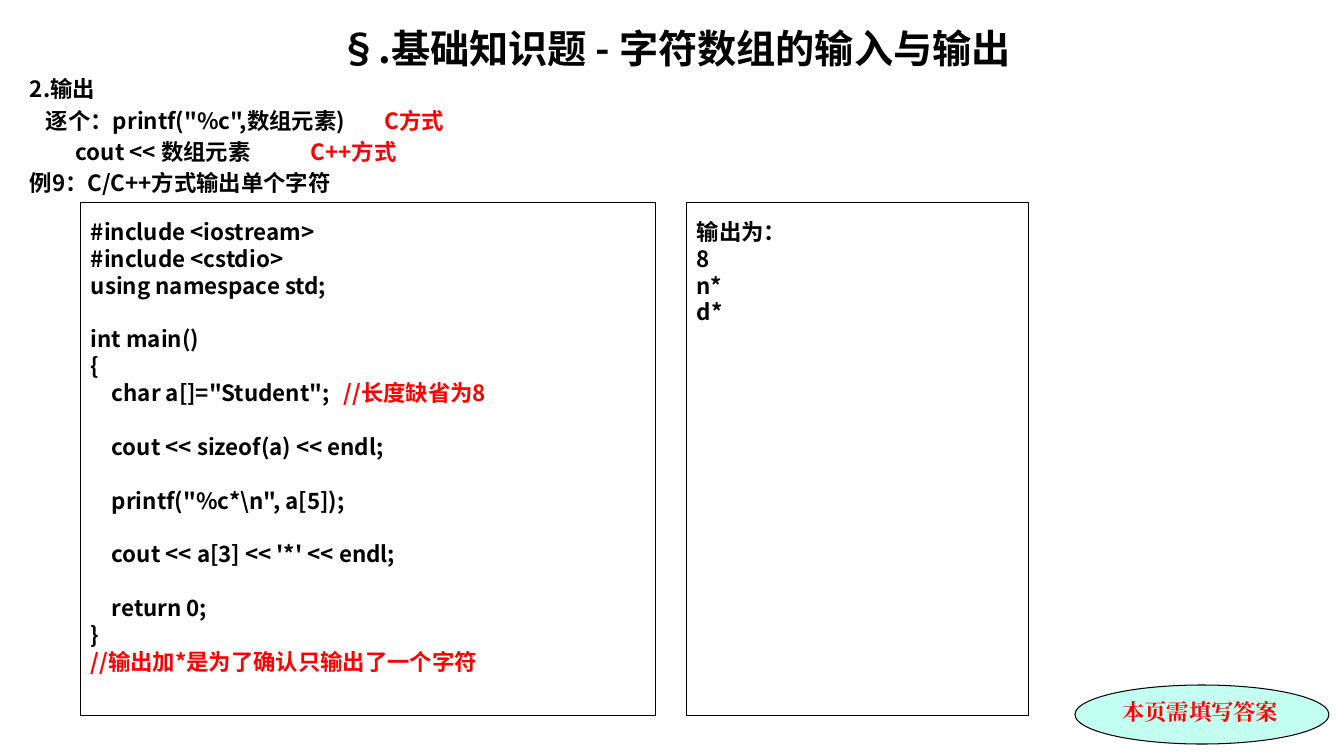
import pptx
import pptx.util
import pptx.dml.color
import pptx.enum.shapes
import pptx.enum.text
import pptx.oxml.ns
from lxml import etree

PX = 9071  # EMU per px, at 100.8 px to the inch
BLACK = pptx.dml.color.RGBColor(0x00, 0x00, 0x00)
RED = pptx.dml.color.RGBColor(0xFF, 0x00, 0x00)
MINT = pptx.dml.color.RGBColor(0xC2, 0xFF, 0xF0)
SANS = "Noto Sans CJK SC"
SERIF = "Times New Roman"
SIZE = 16
LEADING = 1.2
qn = pptx.oxml.ns.qn


def add_line(frame, black, red="", size=SIZE, font=SANS, before=0, tabs=()):
    """Append one bold line: a black run, then a red run; tabs are px from the text edge."""
    paragraph = frame.paragraphs[0]
    if paragraph.runs:
        paragraph = frame.add_paragraph()
    for text, colour in ((black, BLACK), (red, RED)):
        if text:
            run = paragraph.add_run()
            run.text = text
            run.font.color.rgb = colour
    paragraph.alignment = pptx.enum.text.PP_ALIGN.LEFT
    paragraph.line_spacing = pptx.util.Pt(size * LEADING)
    paragraph.space_before = pptx.util.Pt(before)
    paragraph.font.name = font
    paragraph.font.size = pptx.util.Pt(size)
    paragraph.font.bold = True
    defaults = paragraph._p.pPr.find(qn("a:defRPr"))
    etree.SubElement(defaults, qn("a:ea"), typeface=font)
    if tabs:
        tab_list = etree.Element(qn("a:tabLst"))
        for position in tabs:
            etree.SubElement(tab_list, qn("a:tab"), pos=str(position * PX), algn="l")
        defaults.addprevious(tab_list)
    return paragraph


def add_outlined(kind, left, top, width, height, margin_top):
    shape = slide.shapes.add_shape(kind, left * PX, top * PX, width * PX, height * PX)
    shape.shadow.inherit = False
    shape.fill.background()
    shape.line.color.rgb = BLACK
    shape.line.width = pptx.util.Pt(0.75)
    frame = shape.text_frame
    frame.word_wrap = True
    frame.vertical_anchor = pptx.enum.text.MSO_ANCHOR.TOP
    frame.margin_top = margin_top * PX
    return shape


presentation = pptx.Presentation()
presentation.slide_width = 1344 * PX
presentation.slide_height = 756 * PX
slide = presentation.slides.add_slide(presentation.slide_layouts[6])

# Title and introduction
intro = slide.shapes.add_textbox(20 * PX, 18 * PX, 1310 * PX, 715 * PX).text_frame
intro.word_wrap = True
intro.margin_top = 6 * PX
title = add_line(intro, "§.基础知识题 - 字符数组的输入与输出", size=28)
title.alignment = pptx.enum.text.PP_ALIGN.CENTER
for black, red, tabs in (
    ("2.输出", "", ()),
    ("\t逐个：printf(\"%c\",数组元素)\t", "C方式", (16, 355)),
    ("\tcout << 数组元素\t", "C++方式", (46, 281)),
    ("例9：C/C++方式输出单个字符", "", ()),
):
    add_line(intro, black, red, before=SIZE * 0.2, tabs=tabs)

# Answer reminder
RECTANGLE = pptx.enum.shapes.MSO_SHAPE.RECTANGLE
OVAL = pptx.enum.shapes.MSO_SHAPE.OVAL
reminder = add_outlined(OVAL, 1075, 685, 254, 59, 5)
reminder.fill.solid()
reminder.fill.fore_color.rgb = MINT
add_line(reminder.text_frame, "", "本页需填写答案", font=SERIF)

# Program: True marks a line set off by one line of space
program = add_outlined(RECTANGLE, 81, 203, 575, 513, 15).text_frame
for set_off, black, red in (
    (False, "#include <iostream>", ""),
    (False, "#include <cstdio>", ""),
    (False, "using namespace std;", ""),
    (True, "int main()", ""),
    (False, "{", ""),
    (False, "\tchar a[]=\"Student\";\t", "//长度缺省为8"),
    (True, "\tcout << sizeof(a) << endl;", ""),
    (True, "\tprintf(\"%c*\\n\", a[5]);", ""),
    (True, "\tcout << a[3] << '*' << endl;", ""),
    (True, "\treturn 0;", ""),
    (False, "}", ""),
    (False, "", "//输出加*是为了确认只输出了一个字符"),
):
    add_line(program, black, red, before=SIZE * LEADING * set_off, tabs=(21, 253))

# Program output
output = add_outlined(RECTANGLE, 687, 203, 342, 513, 15).text_frame
for text in ("输出为：", "8", "n*", "d*"):
    add_line(output, text)

presentation.save("out.pptx")
